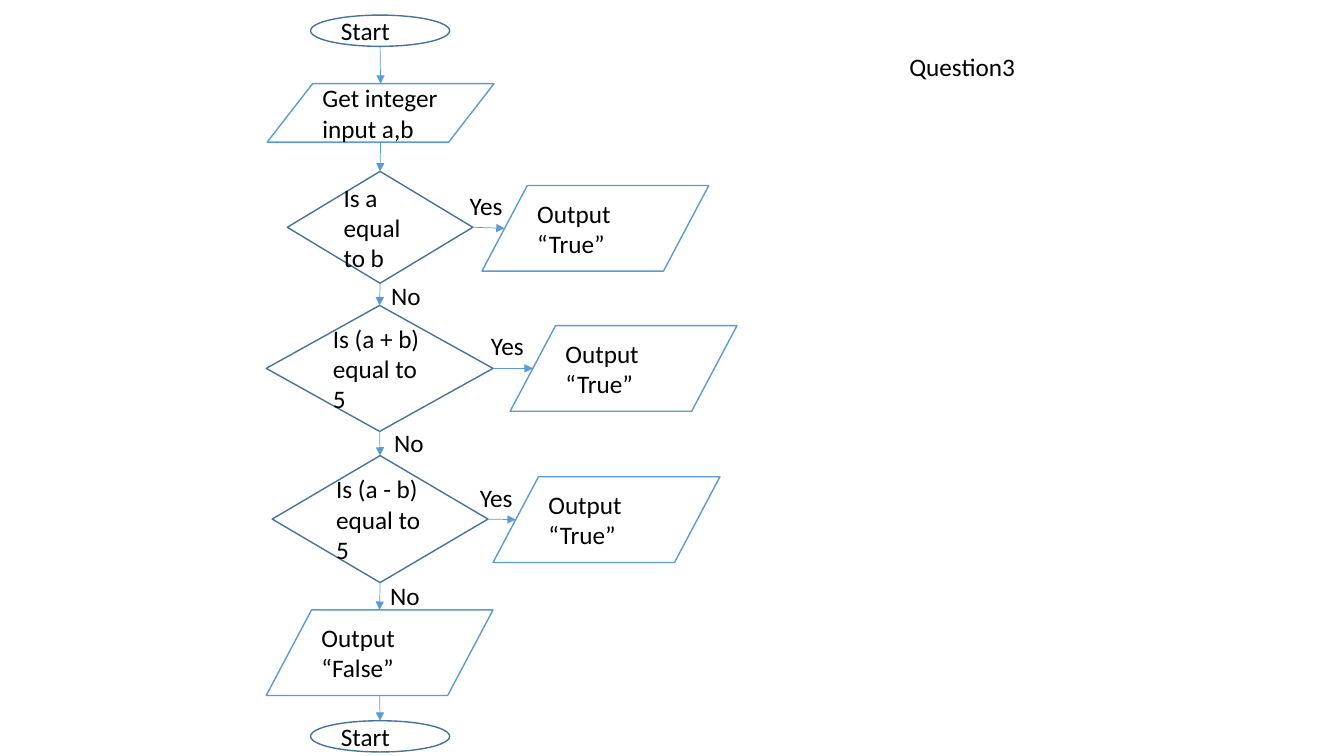
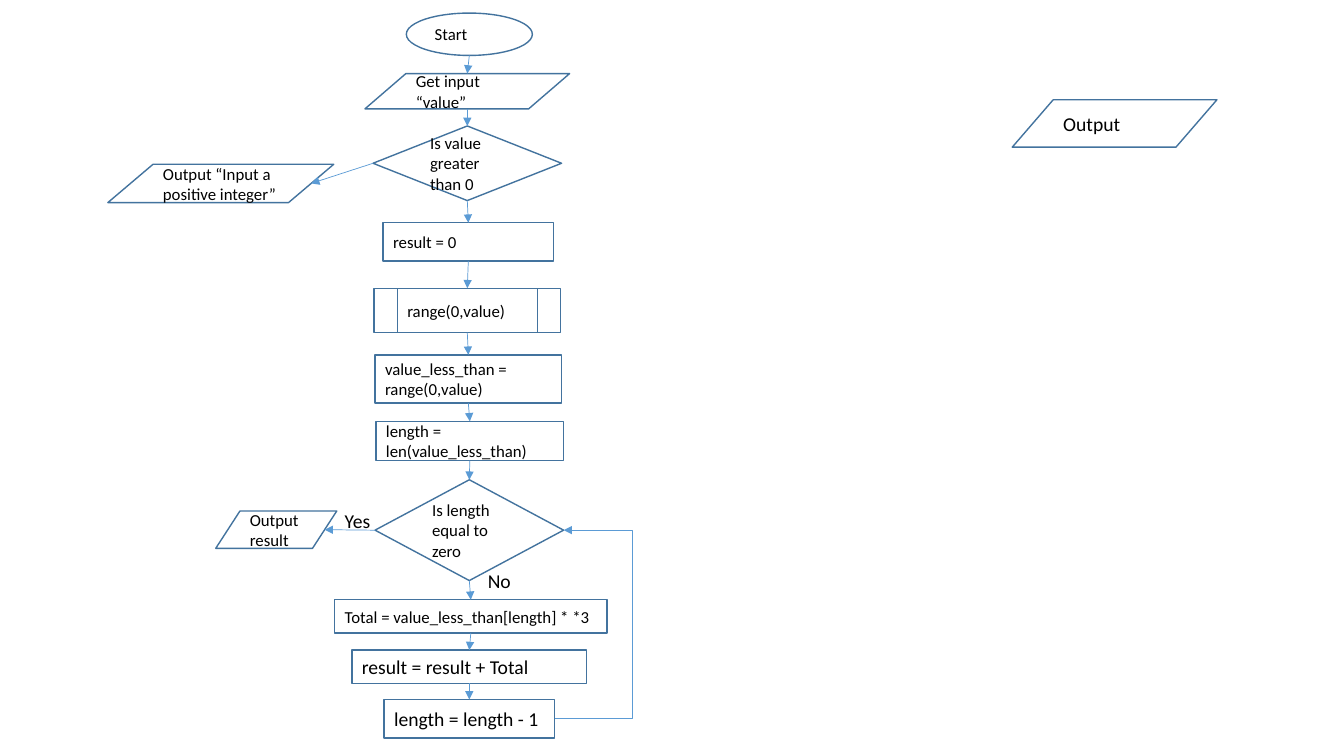
"""Build two flowchart slides: a comparison check and a sum of cubes."""
from lxml import etree
from pptx import Presentation
from pptx.dml.color import RGBColor
from pptx.enum.shapes import MSO_CONNECTOR, MSO_SHAPE
from pptx.enum.text import MSO_AUTO_SIZE
from pptx.oxml.ns import qn
from pptx.util import Pt

PX = 9144
SLIDE_SIZE = (1333, 750)
FONT = "Calibri"
BLACK = RGBColor(0x00, 0x00, 0x00)
WHITE = RGBColor(0xFF, 0xFF, 0xFF)
BLUE = RGBColor(0x5B, 0x9B, 0xD5)
DARK_BLUE = RGBColor(0x43, 0x73, 0x9E)

TERMINAL = MSO_SHAPE.OVAL
DATA = MSO_SHAPE.FLOWCHART_DATA
DECISION = MSO_SHAPE.DIAMOND
PROCESS = MSO_SHAPE.RECTANGLE
SUBROUTINE = MSO_SHAPE.FLOWCHART_PREDEFINED_PROCESS
STRAIGHT = MSO_CONNECTOR.STRAIGHT
ELBOW = MSO_CONNECTOR.ELBOW
FIT_TEXT = MSO_AUTO_SIZE.SHAPE_TO_FIT_TEXT
TOP, LEFT, BOTTOM, RIGHT = range(4)
JOINABLE = (DECISION, PROCESS, SUBROUTINE)

OUTPUT_SIZE = (225, 85)
COMPARISON = {
    "data_line": BLUE,
    "label_size": 18,
    "steps": {
        "start": (TERMINAL, 308, 15, 138, 31, "Start", 18),
        "input": (DATA, 265, 83, 225, 58, "Get integer input a,b", 18),
        "same": (DECISION, 285, 170, 184, 111, "Is a equal to b", 18),
        "sum": (DECISION, 264, 303, 225, 125, "Is (a + b) equal to 5", 18),
        "difference": (DECISION, 270, 452, 214, 126, "Is (a - b) equal to 5", 18),
        "false": (DATA, 264, 605, *OUTPUT_SIZE, "Output “False”", 18),
        "end": (TERMINAL, 308, 715, 138, 31, "Start", 18),
        "same true": (DATA, 478, 184, *OUTPUT_SIZE, "Output “True”", 18),
        "sum true": (DATA, 506, 323, *OUTPUT_SIZE, "Output “True”", 18),
        "difference true": (DATA, 489, 473, *OUTPUT_SIZE, "Output “True”", 18),
    },
    "spine": ["start", "input", "same", "sum", "difference", "false", "end"],
    "branches": [
        ("same", RIGHT, "same true", LEFT),
        ("sum", RIGHT, "sum true", LEFT),
        ("difference", RIGHT, "difference true", LEFT),
    ],
    "loops": [],
    "labels": [
        (456, 184, 58, 40, "Yes"),
        (477, 323, 58, 40, "Yes"),
        (466, 474, 58, 40, "Yes"),
        (378, 273, 58, 40, "No"),
        (381, 419, 58, 40, "No"),
        (377, 571, 58, 40, "No"),
        (892, 46, 222, 40, "Question3"),
    ],
}
SUM_OF_CUBES = {
    "data_line": DARK_BLUE,
    "label_size": 14,
    "steps": {
        "start": (TERMINAL, 403, 13, 125, 42, "Start", 12),
        "input": (DATA, 362, 73, 203, 35, "Get input “value”", 12),
        "positive": (DECISION, 370, 125, 187, 74, "Is value greater than 0", 12),
        "reset": (PROCESS, 380, 221, 169, 38, "result = 0", 12),
        "range": (SUBROUTINE, 371, 286, 185, 44, "range(0,value)", 12),
        "values": (PROCESS, 372, 352, 185, 48, "value_less_than = range(0,value)", 12),
        "length": (PROCESS, 373, 418, 186, 39, "length = len(value_less_than)", 12),
        "finished": (DECISION, 372, 476, 187, 100, "Is length equal to zero", 12),
        "cube": (PROCESS, 332, 595, 270, 33, "Total = value_less_than[length] * *3", 12),
        "add": (PROCESS, 349, 645, 233, 33, "result = result + Total", 14),
        "shorten": (PROCESS, 381, 694, 169, 38, "length = length - 1", 14),
        "error": (DATA, 107, 163, 224, 38, "Output “Input a positive integer”", 12),
        "result": (DATA, 214, 507, 120, 37, "Output result", 12),
        "output": (DATA, 1004, 99, 203, 47, "Output", 14),
    },
    "spine": ["start", "input", "positive", "reset", "range", "values", "length",
              "finished", "cube", "add", "shorten"],
    "branches": [
        ("positive", LEFT, "error", RIGHT),
        ("finished", LEFT, "result", RIGHT),
    ],
    "loops": [("shorten", RIGHT, "finished", RIGHT, 627)],
    "labels": [
        (332, 500, 53, 34, "Yes"),
        (474, 559, 53, 34, "No"),
    ],
}


def emu(*lengths):
    return [round(length * PX) for length in lengths]


def write(frame, text, size):
    frame.text = text
    font = frame.paragraphs[0].font
    font.name, font.size = FONT, Pt(size)
    font.color.rgb = BLACK


def add_step(slide, step, data_line):
    kind, *box, text, size = step
    shape = slide.shapes.add_shape(kind, *emu(*box))
    shape.shadow.inherit = False
    shape.fill.solid()
    shape.fill.fore_color.rgb = WHITE
    shape.line.color.rgb = data_line if kind == DATA else DARK_BLUE
    shape.line.width = Pt(1)
    write(shape.text_frame, text, size)
    return shape


def side_point(step, side):
    kind, x, y, w, h = step[:5]
    slant = w / 10 if kind == DATA else 0
    return {
        TOP: (x + w / 2, y),
        LEFT: (x + slant, y + h / 2),
        BOTTOM: (x + w / 2, y + h),
        RIGHT: (x + w - slant, y + h / 2),
    }[side]


def add_arrow(slide, steps, shapes, link, turn_x=None):
    source, source_side, target, target_side = link
    start = side_point(steps[source], source_side)
    end = side_point(steps[target], target_side)
    route = STRAIGHT if turn_x is None else ELBOW
    arrow = slide.shapes.add_connector(route, *emu(*start, *end))
    if steps[source][0] in JOINABLE:
        arrow.begin_connect(shapes[source], source_side)
    if steps[target][0] in JOINABLE:
        arrow.end_connect(shapes[target], target_side)
    arrow.line.color.rgb = BLUE
    arrow.line.width = Pt(0.5)
    etree.SubElement(arrow.line._get_or_add_ln(), qn("a:tailEnd"), type="triangle")
    properties = arrow._element.spPr
    etree.SubElement(properties, qn("a:effectLst"))
    if turn_x is not None:
        bend = round((turn_x - start[0]) / (end[0] - start[0]) * 100000)
        guides = properties.find(qn("a:prstGeom")).find(qn("a:avLst"))
        etree.SubElement(guides, qn("a:gd"), name="adj1", fmla=f"val {bend}")


def add_label(slide, label, size):
    *box, text = label
    frame = slide.shapes.add_textbox(*emu(*box)).text_frame
    frame.word_wrap = True
    frame.auto_size = FIT_TEXT
    write(frame, text, size)


def add_flowchart(deck, flow):
    slide = deck.slides.add_slide(deck.slide_layouts[6])
    steps, spine = flow["steps"], flow["spine"]
    shapes = {key: add_step(slide, step, flow["data_line"]) for key, step in steps.items()}
    down = [(above, BOTTOM, below, TOP) for above, below in zip(spine, spine[1:])]
    for link in down + flow["branches"]:
        add_arrow(slide, steps, shapes, link)
    for *link, turn_x in flow["loops"]:
        add_arrow(slide, steps, shapes, link, turn_x)
    for label in flow["labels"]:
        add_label(slide, label, flow["label_size"])


def main():
    deck = Presentation()
    deck.slide_width, deck.slide_height = emu(*SLIDE_SIZE)
    for flow in (COMPARISON, SUM_OF_CUBES):
        add_flowchart(deck, flow)
    deck.save("out.pptx")


if __name__ == "__main__":
    main()
